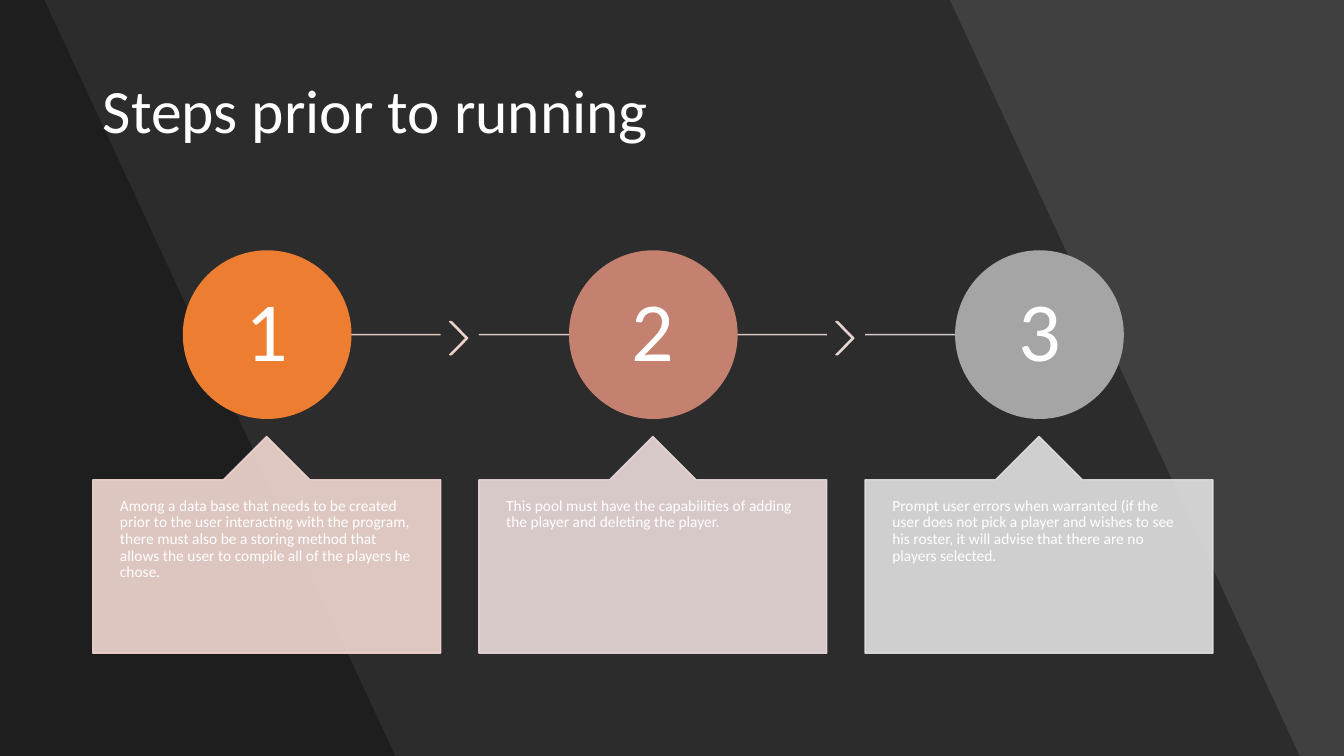
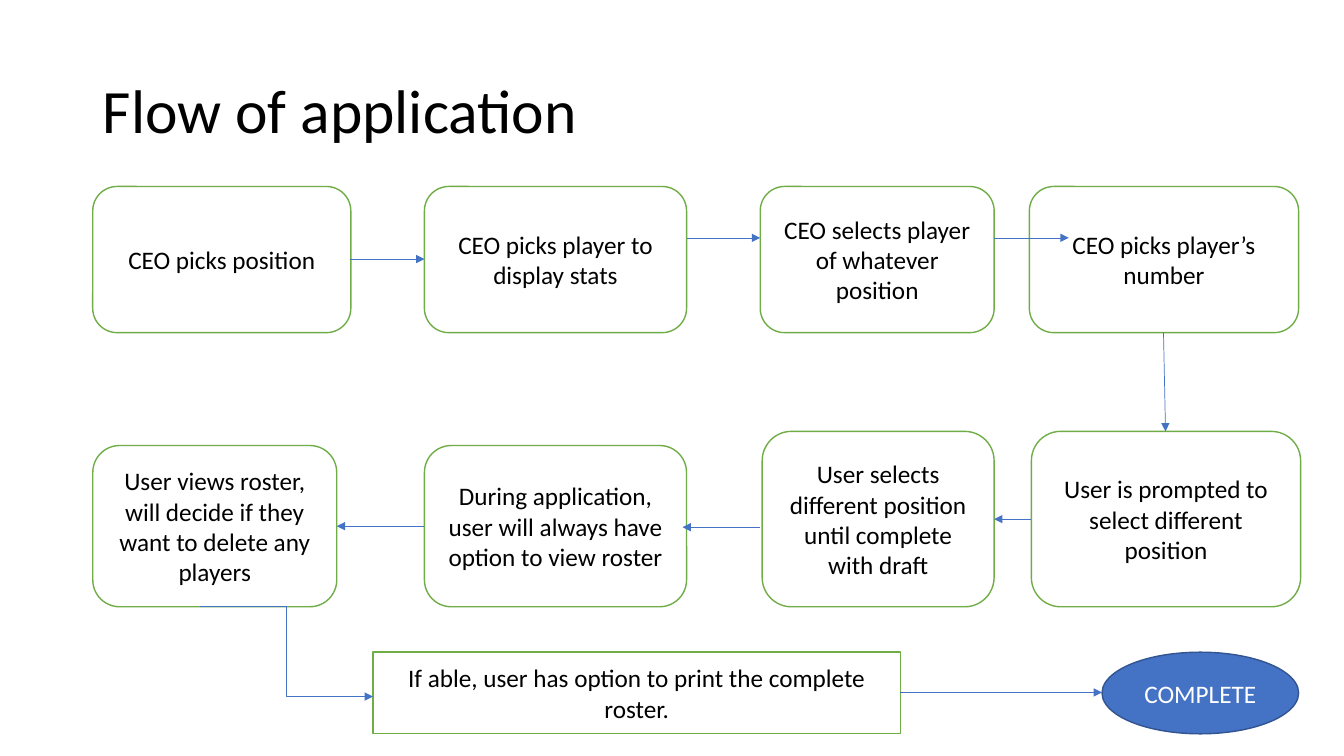
from pptx import Presentation
from pptx import util as u
from pptx.dml.color import RGBColor
from pptx.enum import shapes, text
from pptx.oxml.ns import qn
from lxml import etree

PX = 9144
FONT = "Calibri"
WHITE = RGBColor(0xFF, 0xFF, 0xFF)
BLACK = RGBColor(0x00, 0x00, 0x00)
CHARCOAL = RGBColor(0x40, 0x40, 0x40)
GREEN = RGBColor(0x70, 0xAD, 0x47)
BLUE = RGBColor(0x44, 0x72, 0xC4)
NAVY = RGBColor(0x32, 0x54, 0x91)
ORANGE = RGBColor(0xED, 0x7D, 0x31)
CLAY = RGBColor(0xC4, 0x81, 0x70)
GREY = RGBColor(0xA5, 0xA5, 0xA5)
PEACH = RGBColor(0xF8, 0xD7, 0xCE)
PINK = RGBColor(0xF5, 0xD7, 0xD0)
BLUSH = RGBColor(0xF2, 0xD8, 0xD2)
ROSE = RGBColor(0xF0, 0xD8, 0xD4)
MAUVE = RGBColor(0xED, 0xD9, 0xD7)
DUSK = RGBColor(0xEA, 0xDB, 0xD9)
MIST = RGBColor(0xE7, 0xDC, 0xDC)
SILVER = RGBColor(0xE1, 0xE1, 0xE1)

SHAPE = shapes.MSO_SHAPE
LINK = shapes.MSO_CONNECTOR
ALIGN = text.PP_ALIGN
ANCHOR = text.MSO_ANCHOR


def px(*lengths):
    return [u.Emu(n * PX) for n in lengths]


class Deck:
    """Holds the shared style and the slide being drawn."""

    def __init__(self):
        self.prs = Presentation()
        self.prs.slide_width, self.prs.slide_height = px(1333, 750)
        self.s = None

    def slide(self, title, back, ink):
        self.s = self.prs.slides.add_slide(self.prs.slide_layouts[5])
        self.s.background.fill.solid()
        self.s.background.fill.fore_color.rgb = back
        sp = self.s.shapes.title
        sp.left, sp.top, sp.width, sp.height = px(92, 40, 1150, 145)
        sp.text_frame.auto_size = text.MSO_AUTO_SIZE.NONE
        self.label(sp, title, 44, ink, ALIGN.LEFT, spacing=0.9)

    def label(self, sp, words, size, ink, align=ALIGN.CENTER,
              anchor=ANCHOR.MIDDLE, inset=(10, 5), spacing=1.0):
        tf = sp.text_frame
        tf.text = words
        tf.word_wrap = True
        tf.vertical_anchor = anchor
        tf.margin_left, tf.margin_top = px(*inset)
        tf.margin_right, tf.margin_bottom = px(*inset)
        p = tf.paragraphs[0]
        p.alignment = align
        p.line_spacing = spacing
        f = p.runs[0].font
        f.name, f.size, f.color.rgb = FONT, u.Pt(size), ink

    def fade(self, sp, percent):
        for color in sp.element.spPr.iter(qn("a:srgbClr")):
            etree.SubElement(color, qn("a:alpha"), val=str(percent * 1000))

    def band(self, top_right, bottom_right):
        fb = self.s.shapes.build_freeform(0, 0, scale=PX)
        fb.add_line_segments([(top_right, 0), (bottom_right, 750), (0, 750)])
        sp = fb.convert_to_shape()
        sp.shadow.inherit = False
        sp.fill.solid()
        sp.fill.fore_color.rgb = BLACK
        sp.line.fill.background()
        self.fade(sp, 30)

    def shape(self, kind, box, fill, line, adjust=(), opacity=100):
        sp = self.s.shapes.add_shape(kind, *px(*box))
        sp.shadow.inherit = False
        sp.fill.solid()
        sp.fill.fore_color.rgb = fill
        sp.line.color.rgb = line
        sp.line.width = u.Pt(1)
        for i, value in enumerate(adjust):
            sp.adjustments[i] = value
        if opacity < 100:
            self.fade(sp, opacity)
        return sp

    def node(self, words, box, kind=SHAPE.ROUNDED_RECTANGLE,
             fill=WHITE, line=GREEN, ink=BLACK):
        self.label(self.shape(kind, box, fill, line), words, 18, ink)

    def connector(self, ends, color, width, kind=LINK.STRAIGHT):
        sp = self.s.shapes.add_connector(kind, *px(*ends))
        sp.line.color.rgb = color
        sp.line.width = u.Pt(width)
        etree.SubElement(sp.element.spPr, qn("a:effectLst"))
        return sp

    def rule(self, x1, x2, color):
        self.fade(self.connector((x1, 332, x2, 332), color, 1), 90)

    def arrow(self, *ends, kind=LINK.STRAIGHT):
        sp = self.connector(ends, BLUE, 0.5, kind)
        ln = sp.element.spPr.find(qn("a:ln"))
        etree.SubElement(ln, qn("a:tailEnd"), type="triangle")

    def step(self, x, number, words, circle, callout):
        sp = self.shape(SHAPE.OVAL, (x + 90, 249, 166, 166), circle, circle)
        self.label(sp, number, 60, WHITE, inset=(6, 6), spacing=0.9)
        sp = self.shape(SHAPE.UP_ARROW_CALLOUT, (x, 433, 345, 215), callout,
                        callout, (0.5, 0.2, 0.2, 1), 90)
        self.label(sp, words, 11, WHITE, ALIGN.LEFT, ANCHOR.TOP, (27, 18), 0.9)

    def chevron(self, x, color):
        self.shape(SHAPE.CHEVRON, (x, 319, 18, 33), color, color, (0.9,), 90)


def steps_slide(d):
    d.slide("Steps prior to running", CHARCOAL, WHITE)
    d.band(942, 1289)
    d.band(44, 392)
    title = d.s.shapes.title.element
    title.getparent().append(title)
    left, pitch = 92, 383
    for x1, x2, color in ((284, 437, PEACH), (475, 820, ROSE), (858, 1030, MIST)):
        d.rule(x1, x2, color)
    for i, color in enumerate((PINK, MAUVE)):
        d.chevron(446 + i * pitch, color)
    steps = (
        ("Among a data base that needs to be created prior to the user interacting "
         "with the program, there must also be a storing method that allows the user "
         "to compile all of the players he chose.", ORANGE, BLUSH),
        ("This pool must have the capabilities of adding the player and deleting "
         "the player.", CLAY, DUSK),
        ("Prompt user errors when warranted (if the user does not pick a player and "
         "wishes to see his roster, it will advise that there are no players "
         "selected.", GREY, SILVER),
    )
    for i, (words, circle, callout) in enumerate(steps):
        d.step(left + i * pitch, str(i + 1), words, circle, callout)


def flow_slide(d):
    d.slide("Flow of application", WHITE, BLACK)
    top_row = (
        ("CEO picks position", 92, 256),
        ("CEO picks player to display stats", 421, 260),
        ("CEO selects player of whatever position", 754, 232),
        ("CEO picks player’s number", 1021, 267),
    )
    for words, x, width in top_row:
        d.node(words, (x, 185, width, 145))
    bottom_row = (
        ("User is prompted to select different position", 1023, 428, 267),
        ("User selects different position until complete with draft", 756, 428, 230),
        ("During application, user will always have option to view roster", 421, 442, 260),
        ("User views roster, will decide if they want to delete any players", 92, 442, 242),
    )
    for words, x, y, width in bottom_row:
        d.node(words, (x, y, width, 602 - y))
    d.node("If able, user has option to print the complete roster.",
           (370, 647, 523, 81), SHAPE.RECTANGLE)
    d.node("COMPLETE", (1093, 647, 195, 81), SHAPE.OVAL, BLUE, NAVY, WHITE)
    for x1, x2, y in ((347, 421, 257), (681, 754, 236), (986, 1060, 236),
                      (1023, 986, 515), (754, 677, 523), (421, 334, 522),
                      (893, 1093, 687)):
        d.arrow(x1, y, x2, y)
    d.arrow(1154, 330, 1156, 428)
    d.arrow(198, 602, 370, 691, kind=LINK.ELBOW)


def main():
    d = Deck()
    steps_slide(d)
    flow_slide(d)
    d.prs.save("out.pptx")


if __name__ == "__main__":
    main()
